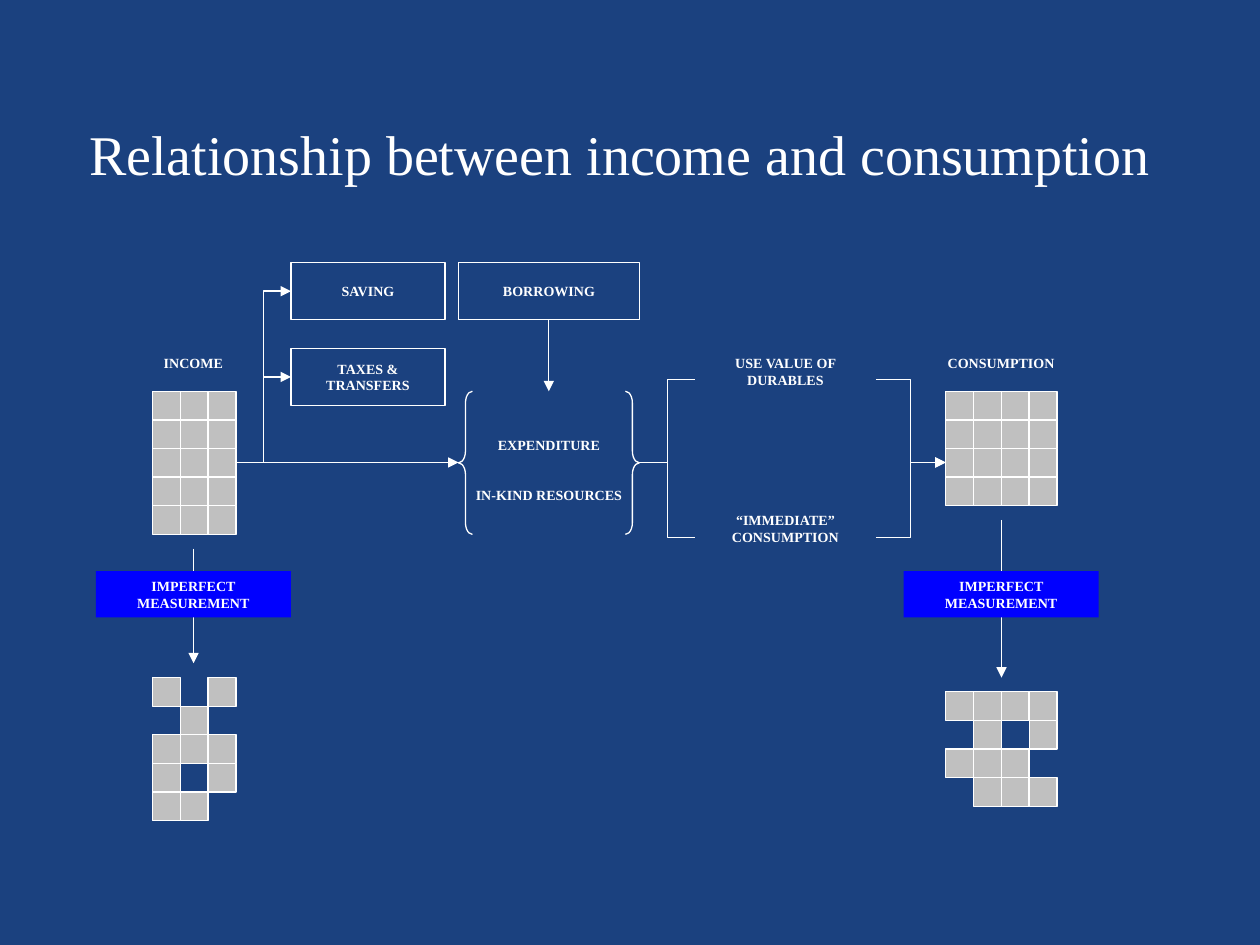
"""Build a slide on the path from income to consumption."""
from dataclasses import dataclass
from typing import Optional

from lxml.etree import SubElement
from pptx import Presentation
from pptx.dml.color import RGBColor as Rgb
from pptx.enum.shapes import MSO_CONNECTOR as Wire, MSO_SHAPE as Form
from pptx.enum.text import MSO_ANCHOR as Anchor, PP_ALIGN as Align
from pptx.oxml.ns import qn
from pptx.util import Pt


@dataclass(frozen=True)
class Theme:
    back: Rgb = Rgb(0x1B, 0x41, 0x7F)
    ink: Rgb = Rgb(0xFF, 0xFF, 0xFF)
    cell: Rgb = Rgb(0xC0, 0xC0, 0xC0)
    badge: Rgb = Rgb(0x00, 0x00, 0xFF)
    font: str = "Times New Roman"
    title: float = 32
    small: float = 8
    stroke: float = 0.75


@dataclass(frozen=True)
class Grid:
    left: float
    top: float
    rows: tuple[str, ...]


@dataclass(frozen=True)
class Label:
    text: str
    left: float
    top: float
    width: float
    height: float
    framed: bool = False
    fill: Optional[Rgb] = None
    middle: bool = False
    gap: float = 0


@dataclass(frozen=True)
class Link:
    x1: float
    y1: float
    x2: float
    y2: float
    arrow: bool = True


THEME = Theme()
CELL_W, CELL_H = 15.9, 16.35
AXIS = 264.3
LEFT, RIGHT = 87.1, 540.4
TOP = 223.6
BOX_H = 32.7
BRACE_W, BRACE_H = 8, 81.8

GRIDS = (
    Grid(LEFT, TOP, ("###",) * 5),
    Grid(LEFT, 387.2, ("#.#", ".#.", "###", "#.#", "##.")),
    Grid(RIGHT, TOP, ("####",) * 4),
    Grid(RIGHT, 395.3, ("####", ".#.#", "###.", ".###")),
)
LINKS = (
    Link(572.3, 297.1, 572.3, 387.2),
    Link(110.6, 313.5, 110.6, 379),
    Link(134.8, AXIS, 166.3, 166.4),
    Link(134.8, AXIS, 166.3, 215.4),
    Link(134.8, AXIS, 262, AXIS),
    Link(313.6, 182.7, 313.6, TOP),
    Link(365.4, AXIS, 397.1, 216.8, False),
    Link(365.4, AXIS, 397.1, 307.1, False),
    Link(500.6, 216.8, RIGHT, AXIS),
    Link(500.6, 307.1, RIGHT, AXIS),
)
LABELS = (
    Label("EXPENDITURE\nIN-KIND RESOURCES", 262, TOP, 103.5, 90, middle=True, gap=19.2),
    Label("SAVING", 166.3, 150, 88, BOX_H, framed=True, middle=True),
    Label("TAXES & TRANSFERS", 166.3, 199, 88, BOX_H, framed=True, middle=True),
    Label("BORROWING", 262, 150, 103.5, BOX_H, framed=True, middle=True),
    Label("INCOME", 70.7, 199, 79.7, 17),
    Label("CONSUMPTION", 516.4, 199, 111.5, 17),
    Label("IMPERFECT MEASUREMENT", 54.8, 326.4, 111.5, 26.4, fill=THEME.badge),
    Label("IMPERFECT MEASUREMENT", 516.4, 326.4, 111.5, 26.4, fill=THEME.badge),
    Label("USE VALUE OF DURABLES", 397.1, 199, 103.5, 26.4),
    Label("“IMMEDIATE” CONSUMPTION", 397.1, 289, 103.5, 26.4),
)


def add_form(slide, form, left, top, width, height, fill: Optional[Rgb] = None, framed: bool = True):
    """Draw one preset shape with the given fill and frame."""
    shape = slide.shapes.add_shape(form, Pt(left), Pt(top), Pt(width), Pt(height))
    shape.shadow.inherit = False
    if fill is None:
        shape.fill.background()
    else:
        shape.fill.solid()
        shape.fill.fore_color.rgb = fill
    if framed:
        shape.line.color.rgb = THEME.ink
        shape.line.width = Pt(THEME.stroke)
    else:
        shape.line.fill.background()
    return shape


def set_text(shape, text: str, size: float, bold: bool, align, gap: float = 0) -> None:
    """Fill a shape with text in the theme style."""
    frame = shape.text_frame
    frame.text = text
    for rank, para in enumerate(frame.paragraphs):
        para.alignment = align
        if rank and gap:
            para.space_before = Pt(gap)
        for run in para.runs:
            run.font.name = THEME.font
            run.font.size = Pt(size)
            run.font.bold = bold
            run.font.color.rgb = THEME.ink


def draw_grid(slide, grid: Grid) -> None:
    """Draw the filled cells of a grid."""
    for row, marks in enumerate(grid.rows):
        for col, mark in enumerate(marks):
            if mark == "#":
                add_form(slide, Form.RECTANGLE, grid.left + col * CELL_W,
                         grid.top + row * CELL_H, CELL_W, CELL_H, THEME.cell)


def draw_label(slide, label: Label) -> None:
    """Draw a label as a box or as plain text."""
    place = label.left, label.top, label.width, label.height
    if label.framed or label.fill is not None:
        shape = add_form(slide, Form.RECTANGLE, *place, label.fill, label.framed)
    else:
        shape = slide.shapes.add_textbox(*map(Pt, place))
    shape.text_frame.word_wrap = True
    shape.text_frame.vertical_anchor = Anchor.MIDDLE if label.middle else Anchor.TOP
    set_text(shape, label.text, THEME.small, True, Align.CENTER, label.gap)


def draw_link(slide, link: Link) -> None:
    """Draw a straight or bent line, with an arrowhead if asked."""
    level = link.x1 == link.x2 or link.y1 == link.y2
    kind = Wire.STRAIGHT if level else Wire.ELBOW
    wire = slide.shapes.add_connector(kind, Pt(link.x1), Pt(link.y1), Pt(link.x2), Pt(link.y2))
    wire.line.color.rgb = THEME.ink
    wire.line.width = Pt(THEME.stroke)
    props = wire.element.spPr
    if link.arrow:
        SubElement(props.find(qn("a:ln")), qn("a:tailEnd"), type="triangle")
    SubElement(props, qn("a:effectLst"))


def draw_brace(slide, form, left: float) -> None:
    """Draw one curly brace."""
    brace = add_form(slide, form, left, TOP, BRACE_W, BRACE_H)
    brace.adjustments[0] = 0.83


def main() -> None:
    """Build and save the slide."""
    deck = Presentation()
    deck.slide_width, deck.slide_height = Pt(720), Pt(540)
    slide = deck.slides.add_slide(deck.slide_layouts[6])
    slide.background.fill.solid()
    slide.background.fill.fore_color.rgb = THEME.back
    for grid in GRIDS:
        draw_grid(slide, grid)
    for link in LINKS:
        draw_link(slide, link)
    for label in LABELS:
        draw_label(slide, label)
    draw_brace(slide, Form.LEFT_BRACE, 262)
    draw_brace(slide, Form.RIGHT_BRACE, 357.4)
    title = slide.shapes.add_textbox(Pt(43.9), Pt(64.8), Pt(621.4), Pt(46))
    title.text_frame.word_wrap = False
    set_text(title, "Relationship between income and consumption", THEME.title, False, Align.LEFT)
    deck.save("out.pptx")


if __name__ == "__main__":
    main()
